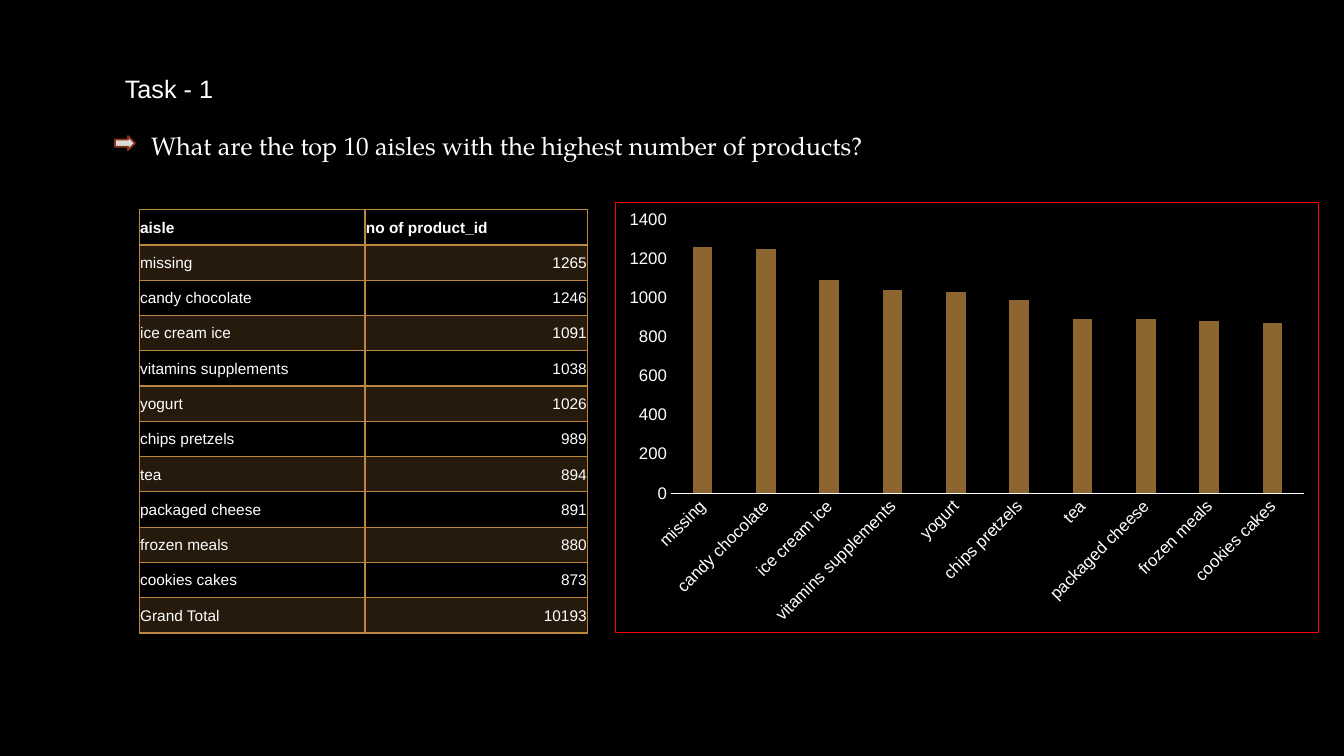
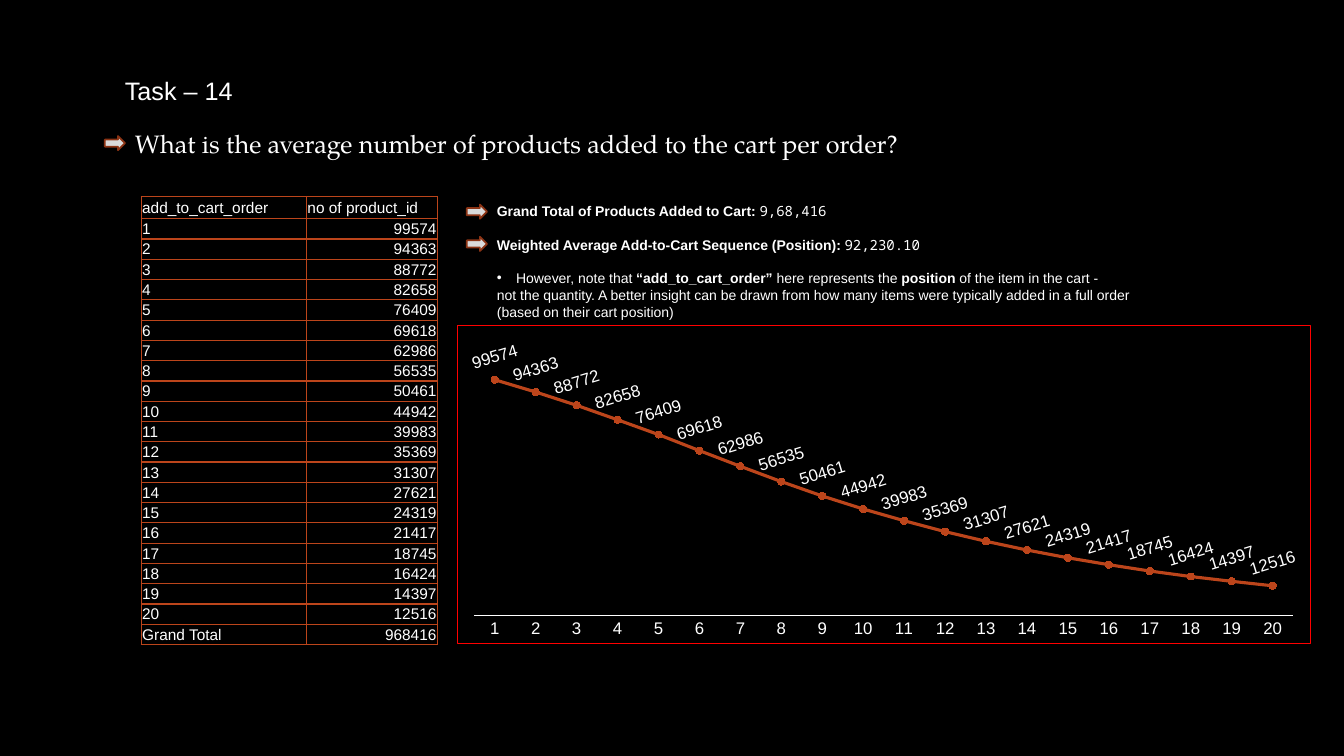
from lxml import etree
from pptx import Presentation
from pptx.chart.data import CategoryChartData as Data
from pptx.dml.color import RGBColor
from pptx.enum.chart import XL_CHART_TYPE as Kind
from pptx.enum.chart import XL_LABEL_POSITION as Spot
from pptx.enum.chart import XL_MARKER_STYLE as Mark
from pptx.enum.chart import XL_TICK_MARK as Tick
from pptx.enum.shapes import MSO_SHAPE as Shape
from pptx.enum.text import MSO_ANCHOR as Anchor
from pptx.enum.text import PP_ALIGN as Align
from pptx.oxml import parse_xml
from pptx.oxml.ns import nsdecls, qn
from pptx.util import Inches, Pt

BLACK, WHITE, RED = "000000", "FFFFFF", "FF0000"
GOLD, BROWN, RUST = "BB8640", "8C6530", "BC451B"
GREY, MAROON = "DADADA", "8B3314"
SANS, SERIF, MONO = "Arial", "TeX Gyre Pagella", "Noto Sans Mono"

AISLES = [
    ("missing", 1265), ("candy chocolate", 1246), ("ice cream ice", 1091),
    ("vitamins supplements", 1038), ("yogurt", 1026), ("chips pretzels", 989),
    ("tea", 894), ("packaged cheese", 891), ("frozen meals", 880),
    ("cookies cakes", 873),
]
COUNTS = [99574, 94363, 88772, 82658, 76409, 69618, 62986, 56535, 50461, 44942,
          39983, 35369, 31307, 27621, 24319, 21417, 18745, 16424, 14397, 12516]
ORDERS = [(str(n), count) for n, count in enumerate(COUNTS, 1)]


def rgb(code):
    return RGBColor.from_string(code)


class Deck:
    """Holds the style and the slide being built."""

    def __init__(self):
        self.prs = Presentation()
        self.prs.slide_width = Inches(13.33)
        self.prs.slide_height = Inches(7.5)
        self.slide = None

    def page(self):
        self.slide = self.prs.slides.add_slide(self.prs.slide_layouts[6])
        fill = self.slide.background.fill
        fill.solid()
        fill.fore_color.rgb = rgb(BLACK)

    def font(self, font, size, name=SANS, bold=False):
        font.size, font.name, font.bold = Pt(size), name, bold
        font.color.rgb = rgb(WHITE)

    def run(self, para, text, size, name=SANS, bold=False):
        run = para.add_run()
        run.text = text
        self.font(run.font, size, name, bold)

    def box(self, x, y, w, h):
        box = self.slide.shapes.add_textbox(
            Inches(x), Inches(y), Inches(w), Inches(h))
        box.text_frame.word_wrap = True
        return box.text_frame

    def title(self, text, y):
        self.run(self.box(1.14, y, 2.29, 0.4).paragraphs[0], text, 18)

    def query(self, text, x, y, space=None):
        para = self.box(x, y, 9, 0.4).paragraphs[0]
        para.line_spacing = space
        self.run(para, text, 18, SERIF)

    def arrow(self, x, y):
        arrow = self.slide.shapes.add_shape(
            Shape.RIGHT_ARROW, Inches(x), Inches(y), Inches(0.2), Inches(0.14))
        arrow.shadow.inherit = False
        arrow.fill.solid()
        arrow.fill.fore_color.rgb = rgb(GREY)
        arrow.line.color.rgb = rgb(MAROON)
        arrow.line.width = Pt(1.25)

    def notes(self, paras, x, y, w, h):
        """Each paragraph is (space before, bullet, runs)."""
        frame = self.box(x, y, w, h)
        frame.vertical_anchor = Anchor.MIDDLE
        for i, (gap, bullet, runs) in enumerate(paras):
            para = frame.add_paragraph() if i else frame.paragraphs[0]
            if gap:
                para.space_before = Pt(gap)
            if bullet:
                ppr = para._p.get_or_add_pPr()
                ppr.set("marL", str(Inches(0.19)))
                ppr.set("indent", str(-Inches(0.19)))
                etree.SubElement(ppr, qn("a:buFont")).set("typeface", SANS)
                etree.SubElement(ppr, qn("a:buChar")).set("char", bullet)
            for text, name, bold in runs:
                self.run(para, text, 10, name, bold)

    def cell(self, cell, text, color, right, bold, base, tint):
        cell.margin_left = cell.margin_right = cell.margin_top = Inches(0.01)
        cell.margin_bottom = 0
        cell.vertical_anchor = Anchor.MIDDLE
        para = cell.text_frame.paragraphs[0]
        para.alignment = Align.RIGHT if right else Align.LEFT
        self.run(para, text, 11, bold=bold)
        tcpr = cell._tc.get_or_add_tcPr()
        for side, width in zip("LRTB", (1, 1, 1, base)):
            tcpr.append(parse_xml(
                f'<a:ln{side} {nsdecls("a")} w="{Pt(width)}"><a:solidFill>'
                f'<a:srgbClr val="{color}"/></a:solidFill></a:ln{side}>'))
        if not tint:
            cell.fill.background()
            return
        cell.fill.solid()
        cell.fill.fore_color.rgb = rgb(color)
        shade = tcpr.find(qn("a:solidFill")).find(qn("a:srgbClr"))
        etree.SubElement(shade, qn("a:alpha")).set("val", "20000")

    def table(self, head, data, x, y, cols, first, h, color, rich=False):
        """Adds the total; rich gives a bold head and tinted rows."""
        total = ("Grand Total", sum(value for _, value in data))
        rows = [head, *data, total]
        table = self.slide.shapes.add_table(
            len(rows), len(cols), Inches(x), Inches(y),
            Inches(sum(cols)), Inches(h)).table
        table.first_row = table.horz_banding = False
        for col, width in zip(table.columns, cols):
            col.width = Inches(width)
        rest = (h - first) / (len(rows) - 1)
        for r, row in enumerate(rows):
            table.rows[r].height = Inches(rest if r else first)
            top = rich and r == 0
            for c, value in enumerate(row):
                self.cell(table.cell(r, c), str(value), color,
                          right=r > 0 and c > 0, bold=top,
                          base=2 if top else 1, tint=rich and r % 2 == 1)

    def chart(self, kind, data, x, y, w, h, peak):
        feed = Data()
        feed.categories = [name for name, _ in data]
        feed.add_series("Series 1", [value for _, value in data])
        chart = self.slide.shapes.add_chart(
            kind, Inches(x), Inches(y), Inches(w), Inches(h), feed).chart
        chart.has_legend = chart.has_title = False
        self.font(chart.font, 10)
        # Frame
        chart._chartSpace.find(qn("c:chart")).addnext(parse_xml(
            f'<c:spPr {nsdecls("c", "a")}><a:noFill/><a:ln w="{Pt(0.75)}">'
            f'<a:solidFill><a:srgbClr val="{RED}"/></a:solidFill></a:ln>'
            '</c:spPr>'))
        # Axes
        cat, val = chart.category_axis, chart.value_axis
        for axis in (cat, val):
            axis.major_tick_mark = axis.minor_tick_mark = Tick.NONE
            axis.has_major_gridlines = False
            self.font(axis.tick_labels.font, 12)
        cat.format.line.color.rgb = rgb(WHITE)
        cat.format.line.width = Pt(0.75)
        val.format.line.fill.background()
        val.minimum_scale, val.maximum_scale = 0, peak
        plot = chart.plots[0]
        plot.vary_by_categories = False
        return chart, plot, plot.series[0]

    def turn(self, chart, tag, angle):
        for body in chart._chartSpace.xpath(f".//c:{tag}/c:txPr/a:bodyPr"):
            body.set("rot", str(angle * 60000))
            body.set("vert", "horz")

    def bars(self, data, x, y, w, h, peak, step):
        tens = [(name, round(value, -1)) for name, value in data]
        chart, plot, bars = self.chart(
            Kind.COLUMN_CLUSTERED, tens, x, y, w, h, peak)
        chart.value_axis.major_unit = step
        plot.gap_width, plot.overlap = 219, -27
        bars.format.fill.solid()
        bars.format.fill.fore_color.rgb = rgb(BROWN)
        self.turn(chart, "catAx", -45)

    def line(self, data, x, y, w, h, peak):
        chart, _, line = self.chart(
            Kind.LINE_MARKERS, data, x, y, w, h, peak)
        chart.value_axis.visible = False
        line.smooth = False
        line.format.line.color.rgb = rgb(RUST)
        line.format.line.width = Pt(2.25)
        mark = line.marker
        mark.style, mark.size = Mark.CIRCLE, 5
        mark.format.fill.solid()
        mark.format.fill.fore_color.rgb = rgb(RUST)
        mark.format.line.color.rgb = rgb(RUST)
        labels = line.data_labels
        labels.show_value, labels.position = True, Spot.ABOVE
        self.font(labels.font, 12)
        self.turn(chart, "dLbls", -17)


def main():
    deck = Deck()

    # Task 1: top aisles
    deck.page()
    deck.title("Task - 1", 0.68)
    deck.arrow(1.14, 1.35)
    deck.query("What are the top 10 aisles with the highest number of products?",
               1.4, 1.22, 1.07)
    deck.table(("aisle", "no of product_id"), AISLES,
               1.38, 2.08, (2.24, 2.21), 0.35, 4.2, GOLD, rich=True)
    deck.bars(AISLES, 6.1, 2, 6.98, 4.28, 1400, 200)

    # Task 14: cart order
    deck.page()
    deck.title("Task – 14", 0.7)
    deck.arrow(1.04, 1.35)
    deck.query("What is the average number of products added to the cart per order?",
               1.24, 1.22)
    deck.table(("add_to_cart_order", "no of product_id"), ORDERS,
               1.4, 1.95, (1.64, 1.3), 0.22, 4.45, RUST)
    for y in (2.03, 2.35):
        deck.arrow(4.63, y)
    deck.notes([
        (0, None, [("Grand Total of Products Added to Cart: ", SANS, True),
                   ("9,68,416", MONO, False)]),
        (12.5, None, [("Weighted Average Add-to-Cart Sequence (Position): ", SANS, True),
                      ("92,230.10", MONO, False)]),
        (11.5, "•", [("However, note that ", SANS, False),
                     ("“add_to_cart_order”", SANS, True),
                     (" here represents the ", SANS, False),
                     ("position", SANS, True),
                     (" of the item in the cart -", SANS, False)]),
        (0, None, [("not the quantity. A better insight can be drawn from how many "
                    "items were typically added in a full order "
                    "(based on their cart position)", SANS, False)]),
    ], 4.83, 1.95, 6.55, 1.28)
    deck.line(ORDERS, 4.53, 3.22, 8.47, 3.17, 120000)

    deck.prs.save("out.pptx")


if __name__ == "__main__":
    main()
